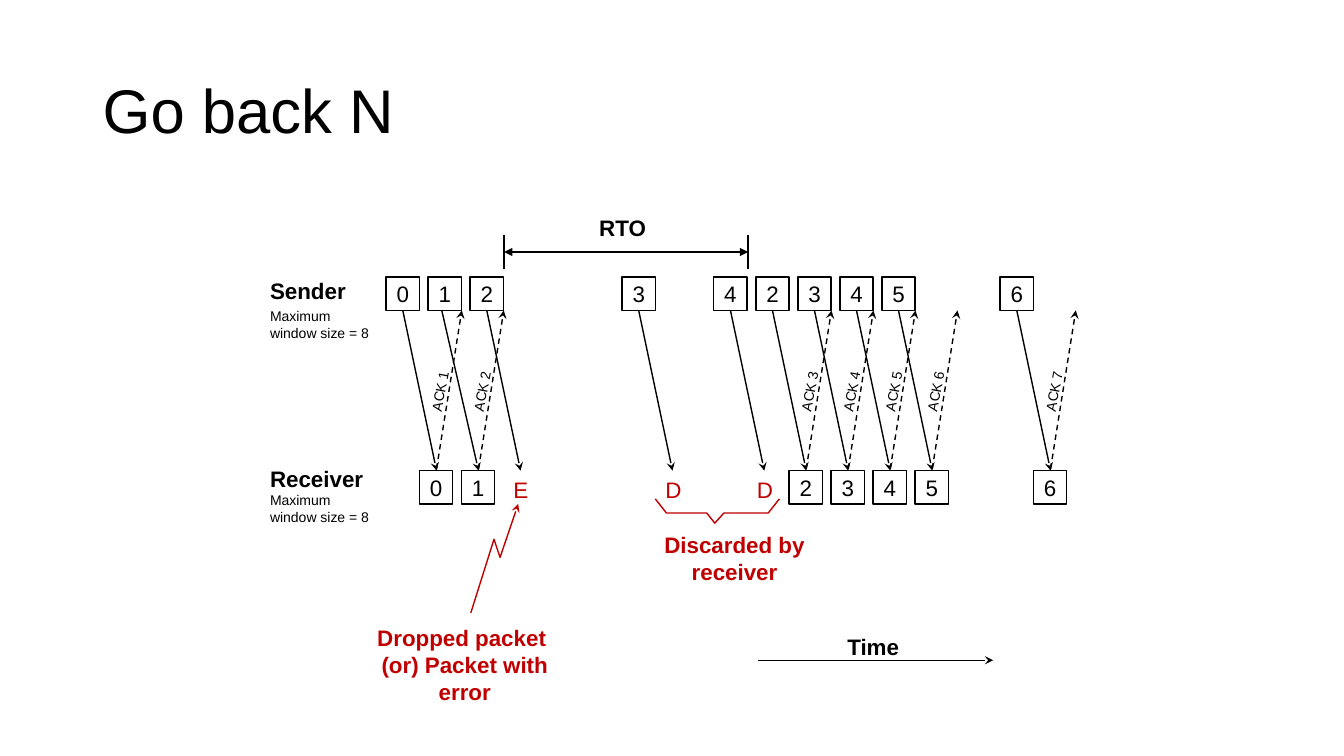
from lxml import etree
from pptx import Presentation
from pptx.dml.color import RGBColor
from pptx.enum.dml import MSO_LINE
from pptx.enum.shapes import MSO_CONNECTOR, MSO_SHAPE
from pptx.enum.text import MSO_ANCHOR, MSO_AUTO_SIZE, PP_ALIGN
from pptx.oxml.ns import qn
from pptx.util import Inches, Pt

STRAIGHT = MSO_CONNECTOR.STRAIGHT
RECTANGLE = MSO_SHAPE.RECTANGLE
DASH = MSO_LINE.DASH
LEFT, CENTER = PP_ALIGN.LEFT, PP_ALIGN.CENTER
TOP, MIDDLE = MSO_ANCHOR.TOP, MSO_ANCHOR.MIDDLE
FIT_SHAPE, FIXED = MSO_AUTO_SIZE.SHAPE_TO_FIT_TEXT, MSO_AUTO_SIZE.NONE

THEME = {
    "font": "Arial",
    "ink": RGBColor(0x00, 0x00, 0x00),
    "error": RGBColor(0xC0, 0x00, 0x00),
    "packet": RGBColor(0xFF, 0xFF, 0xFF),
    "title": Pt(44),
    "body": Pt(16),
    "small": Pt(10),
    "line": Pt(1),
}

PACKET = 0.33
PITCH = 5 / 12
SENDER_Y, RECEIVER_Y = 2.75, 4.67
DEPART_Y = SENDER_Y + PACKET

# Left edge of each burst, then (sequence number, what the receiver gets, ACK)
BURSTS = [
    (3.83, [("0", "0", "ACK 1"), ("1", "1", "ACK 2"), ("2", "E", None)]),
    (6.17, [("3", "D", None)]),
    (7.08, [("4", "D", None), ("2", "2", "ACK 3"), ("3", "3", "ACK 4"),
            ("4", "4", "ACK 5"), ("5", "5", "ACK 6")]),
    (9.92, [("6", "6", "ACK 7")]),
]
DEPARTURE_SHIFT = {"1": -0.03}


def write(shape, text, size="body", color="ink", bold=False, align=LEFT,
          anchor=TOP, fit=FIT_SHAPE, wrap=False):
    """Fill a box or packet with one paragraph per line of text."""
    frame = shape.text_frame
    frame.text = text
    for name, value in {"word_wrap": wrap, "auto_size": fit,
                        "vertical_anchor": anchor}.items():
        setattr(frame, name, value)
    font_format = {"name": THEME["font"], "size": THEME[size], "bold": bold}
    for paragraph in frame.paragraphs:
        paragraph.alignment = align
        font = paragraph.runs[0].font
        for name, value in font_format.items():
            setattr(font, name, value)
        font.color.rgb = THEME[color]


def style_line(shape, color="ink", dash=None, head=None, tail=None):
    """Set colour, width, dash and arrowheads, without a shadow."""
    shape.line.color.rgb = THEME[color]
    shape.line.width = THEME["line"]
    if dash:
        shape.line.dash_style = dash
    properties = shape.element.spPr
    outline = properties.find(qn("a:ln"))
    for end, arrow in (("a:headEnd", head), ("a:tailEnd", tail)):
        if arrow:
            etree.SubElement(outline, qn(end), type=arrow)
    etree.SubElement(properties, qn("a:effectLst"))


presentation = Presentation()
presentation.slide_width = Inches(13.33)
presentation.slide_height = Inches(7.5)
slide = presentation.slides.add_slide(presentation.slide_layouts[6])
shapes = slide.shapes

title = shapes.add_textbox(Inches(0.92), Inches(0.4), Inches(11.5), Inches(1.45))
write(title, "Go back N", size="title", anchor=MIDDLE, fit=FIXED, wrap=True)
title.text_frame.paragraphs[0].line_spacing = 0.9

labels = [
    ((5.84, 2.08, 0.67, 0.37), "RTO", {"bold": True, "align": CENTER}),
    ((8.3, 6.23, 0.72, 0.37), "Time", {"bold": True, "align": CENTER}),
    ((2.58, 2.7, 0.95, 0.37), "Sender", {"bold": True}),
    ((2.58, 4.57, 1.13, 0.37), "Receiver", {"bold": True}),
    ((2.58, 3, 1.18, 0.43), "Maximum\nwindow size = 8", {"size": "small"}),
    ((2.58, 4.83, 1.18, 0.43), "Maximum\nwindow size = 8", {"size": "small"}),
    ((6.48, 5.22, 1.61, 0.64), "Discarded by\nreceiver",
     {"color": "error", "bold": True, "align": CENTER}),
    ((3.63, 6.14, 1.96, 0.91), "Dropped packet \n(or) Packet with\nerror",
     {"color": "error", "bold": True, "align": CENTER}),
]
lines = [
    ((5, 2.5, 7.42, 2.5), {"head": "triangle", "tail": "triangle"}),
    ((5, 2.33, 5, 2.67), {}),
    ((7.42, 2.33, 7.42, 2.67), {}),
    ((7.52, 6.55, 9.85, 6.55), {"tail": "stealth"}),
]
packets = []

for burst_x, burst in BURSTS:
    for slot, (number, arrival, ack) in enumerate(burst):
        sent_x = burst_x + slot * PITCH
        received_x = sent_x + PACKET
        depart_x = sent_x + PACKET / 2 + DEPARTURE_SHIFT.get(number, 0)
        arrive_x = sent_x + 0.5
        packets.append((sent_x, SENDER_Y, number))
        lines.append(((depart_x, DEPART_Y, arrive_x, RECEIVER_Y), {"tail": "stealth"}))
        if ack:
            packets.append((received_x, RECEIVER_Y, arrival))
            lines.append(((arrive_x, 4.65, arrive_x + 0.25, DEPART_Y),
                          {"dash": DASH, "tail": "stealth"}))
            ack_label = shapes.add_textbox(
                Inches(sent_x + 0.23), Inches(3.74), Inches(0.61), Inches(0.27))
            ack_label.rotation = 280.6
            write(ack_label, ack, size="small")
        else:
            labels.append(((received_x, RECEIVER_Y, 0.36, 0.37), arrival,
                           {"color": "error"}))

for x, y, number in packets:
    packet = shapes.add_shape(RECTANGLE, Inches(x), Inches(y), Inches(PACKET), Inches(PACKET))
    packet.fill.solid()
    packet.fill.fore_color.rgb = THEME["packet"]
    style_line(packet)
    write(packet, number, align=CENTER, anchor=MIDDLE, fit=FIXED)

for ends, line_format in lines:
    line = shapes.add_connector(STRAIGHT, *map(Inches, ends))
    style_line(line, **line_format)

for box, text, text_format in labels:
    write(shapes.add_textbox(*map(Inches, box)), text, **text_format)

discard_brace = [(6.5, 4.95), (6.61, 5.09), (7.01, 5.09), (7.09, 5.19),
                 (7.18, 5.09), (7.62, 5.09), (7.73, 4.95)]
error_bolt = [(4.67, 6.08), (4.9, 5.35), (4.96, 5.53), (5.14, 5)]
for points, arrow in ((discard_brace, None), (error_bolt, "stealth")):
    start, *rest = [(Inches(x), Inches(y)) for x, y in points]
    builder = shapes.build_freeform(*start)
    builder.add_line_segments(rest, close=False)
    outline = builder.convert_to_shape()
    outline.fill.background()
    style_line(outline, color="error", tail=arrow)

presentation.save("out.pptx")
